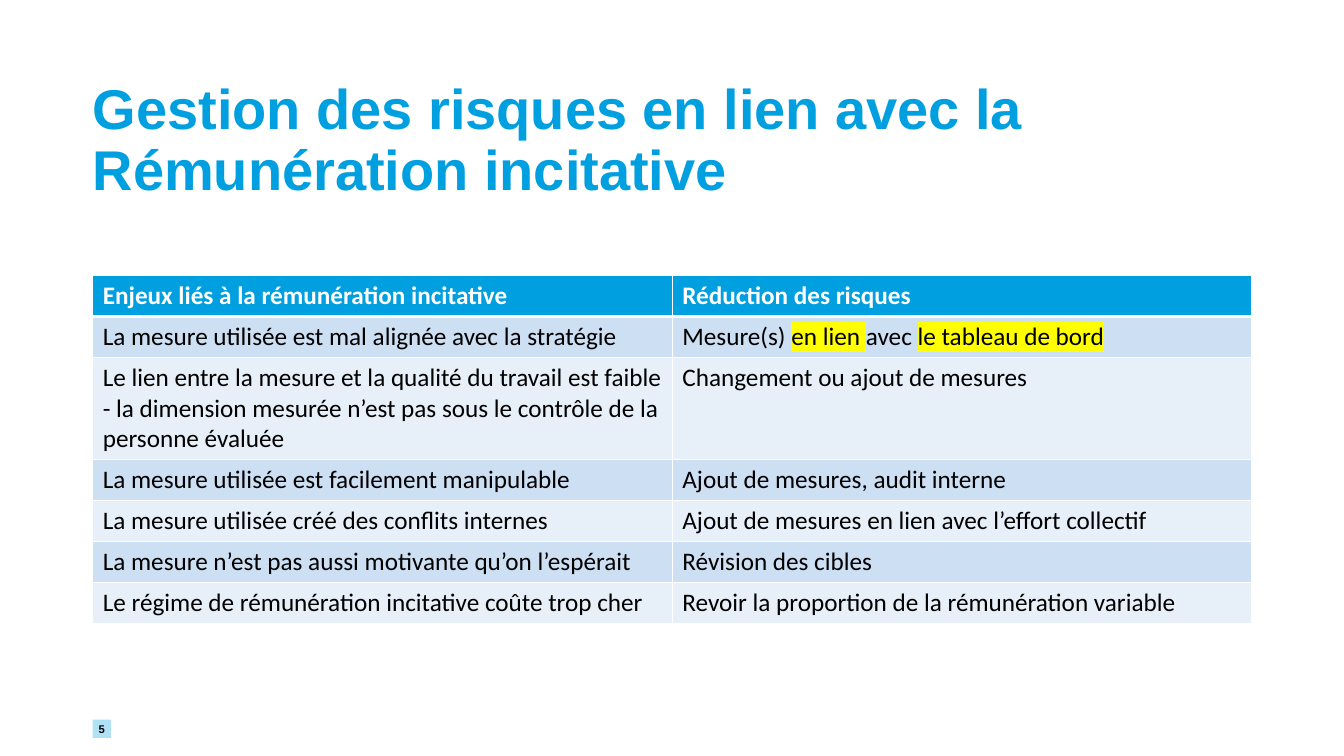
from pptx import Presentation
from pptx.dml.color import RGBColor
from pptx.enum.shapes import MSO_SHAPE
from pptx.enum.text import MSO_ANCHOR, PP_ALIGN
from pptx.oxml.ns import qn
from pptx.util import Pt
from lxml.etree import SubElement

HEADER = ["Enjeux liés à la rémunération incitative", "Réduction des risques"]
# Text between bars is highlighted
RISKS = [
    ["La mesure utilisée est mal alignée avec la stratégie",
     "Mesure(s) |en lien |avec |le tableau de bord|"],
    ["Le lien entre la mesure et la qualité du travail est faible - la dimension "
     "mesurée n’est pas sous le contrôle de la personne évaluée",
     "Changement ou ajout de mesures"],
    ["La mesure utilisée est facilement manipulable", "Ajout de mesures, audit interne"],
    ["La mesure utilisée créé des conflits internes",
     "Ajout de mesures en lien avec l’effort collectif"],
    ["La mesure n’est pas aussi motivante qu’on l’espérait", "Révision des cibles"],
    ["Le régime de rémunération incitative coûte trop cher",
     "Revoir la proportion de la rémunération variable"],
]


def color(value):
    return RGBColor.from_string(value)


class SlideBuilder:
    blue, white, black, yellow = "009FDF", "FFFFFF", "000000", "FFFF00"
    bands = ["CCDFF3", "E7F0F9"]
    heading_font, table_font = "Arial", "Calibri"
    left, width = 66.24, 828

    def __init__(self, slide):
        self.slide = slide

    def style_font(self, font, name, size, value, bold):
        font.name, font.size, font.bold = name, Pt(size), bold
        font.color.rgb = color(value)

    def prepare_frame(self, text_frame):
        text_frame.word_wrap = True
        text_frame.vertical_anchor = MSO_ANCHOR.MIDDLE
        text_frame.margin_left = text_frame.margin_right = 0
        text_frame.margin_top = text_frame.margin_bottom = 0

    def title(self, text, top, height):
        shape = self.slide.shapes.add_textbox(
            Pt(self.left), Pt(top), Pt(self.width), Pt(height))
        self.prepare_frame(shape.text_frame)
        paragraph = shape.text_frame.paragraphs[0]
        paragraph.text = text
        paragraph.line_spacing = Pt(44)
        for run in paragraph.runs:
            self.style_font(run.font, self.heading_font, 40, self.blue, True)

    def highlight(self, run):
        element = run.font._element.find(qn("a:solidFill"))
        mark = SubElement(run.font._element, qn("a:highlight"))
        SubElement(mark, qn("a:srgbClr"), val=self.yellow)
        element.addnext(mark)

    def border(self, cell, side, width):
        line = SubElement(cell._tc.get_or_add_tcPr(), qn(f"a:ln{side}"), w=str(Pt(width)))
        fill = SubElement(line, qn("a:solidFill"))
        SubElement(fill, qn("a:srgbClr"), val=self.white)

    def cell(self, cell, text, row):
        is_header = row == 0
        widths = {"L": 1, "R": 1, "T": 3 if row == 1 else 1, "B": 3 if is_header else 1}
        for side, width in widths.items():
            self.border(cell, side, width)
        cell.fill.solid()
        cell.fill.fore_color.rgb = color(self.blue if is_header else self.bands[(row - 1) % 2])
        paragraph = cell.text_frame.paragraphs[0]
        for index, part in enumerate(text.split("|")):
            if part:
                run = paragraph.add_run()
                run.text = part
                self.style_font(run.font, self.table_font, 18,
                                self.white if is_header else self.black, is_header)
                if index % 2:
                    self.highlight(run)

    def table(self, rows, top, row_height, tall_row, tall_height):
        height = row_height * (len(rows) - 1) + tall_height
        table = self.slide.shapes.add_table(
            len(rows), len(rows[0]), Pt(self.left), Pt(top), Pt(self.width), Pt(height)).table
        for row, texts in enumerate(rows):
            table.rows[row].height = Pt(tall_height if row == tall_row else row_height)
            for column, text in enumerate(texts):
                self.cell(table.cell(row, column), text, row)

    def page_number(self, text, top, side):
        shape = self.slide.shapes.add_shape(
            MSO_SHAPE.RECTANGLE, Pt(self.left), Pt(top), Pt(side), Pt(side))
        shape.shadow.inherit = False
        shape.line.fill.background()
        shape.fill.solid()
        shape.fill.fore_color.rgb = color("3CB5E6")
        fill_color = shape.fill._xPr.find(qn("a:solidFill"))[0]
        SubElement(fill_color, qn("a:alpha"), val="40000")
        self.prepare_frame(shape.text_frame)
        paragraph = shape.text_frame.paragraphs[0]
        paragraph.text = text
        paragraph.alignment = PP_ALIGN.CENTER
        self.style_font(paragraph.runs[0].font, self.heading_font, 8, self.black, True)


def main():
    presentation = Presentation()
    presentation.slide_width, presentation.slide_height = Pt(960), Pt(540)
    builder = SlideBuilder(presentation.slides.add_slide(presentation.slide_layouts[6]))

    # Title
    builder.title("Gestion des risques en lien avec la\vRémunération incitative", 56.16, 88.56)
    # Risk table
    builder.table([HEADER] + RISKS, 196.8, 29.2, 2, 73.2)
    # Page number
    builder.page_number("5", 514, 13)

    presentation.save("out.pptx")


if __name__ == "__main__":
    main()
